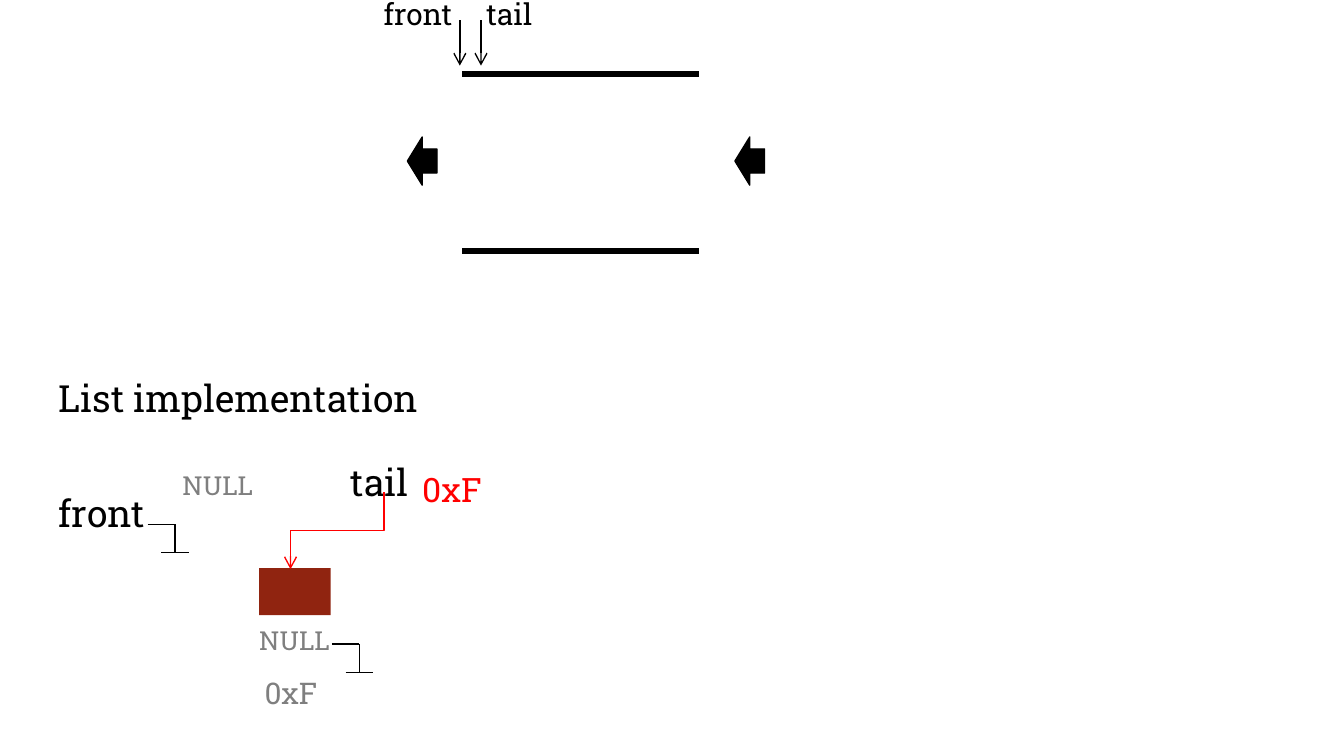
from dataclasses import dataclass

from lxml import etree
from pptx import Presentation
from pptx.dml.color import RGBColor
from pptx.enum import shapes, text
from pptx.oxml import ns
from pptx.util import Cm, Pt


@dataclass(frozen=True)
class Theme:
    font: str = "Roboto Slab"
    ink: RGBColor = RGBColor(0, 0, 0)
    muted: RGBColor = RGBColor(0x7F, 0x7F, 0x7F)
    accent: RGBColor = RGBColor(0xFF, 0, 0)
    node: RGBColor = RGBColor(0x90, 0x24, 0x10)
    heading: int = 20
    address: int = 18
    label: int = 16
    null: int = 14
    thin: float = 0.75
    wall: float = 3


THEME = Theme()


def add_text(slide, content, left, top, width, height, *, size=THEME.heading,
             color=THEME.ink, align=text.PP_ALIGN.LEFT, inset=0.25):
    box = slide.shapes.add_textbox(Cm(left), Cm(top), Cm(width), Cm(height))
    frame = box.text_frame
    frame.word_wrap = True
    frame.margin_left = frame.margin_right = Cm(inset)
    paragraph = frame.paragraphs[0]
    paragraph.alignment = align
    run = paragraph.add_run()
    run.text = content
    run.font.name = THEME.font
    run.font.size = Pt(size)
    run.font.color.rgb = color


def add_line(slide, start, end, *, color=THEME.ink, weight=THEME.thin, arrow=False,
             kind=shapes.MSO_CONNECTOR.STRAIGHT):
    connector = slide.shapes.add_connector(kind, *map(Cm, (*start, *end)))
    connector.line.color.rgb = color
    connector.line.width = Pt(weight)
    properties = connector._element.spPr
    etree.SubElement(properties, ns.qn("a:effectLst"))
    if arrow:
        line = properties.find(ns.qn("a:ln"))
        etree.SubElement(line, ns.qn("a:tailEnd"), type="arrow")
    return connector


def add_elbow_down(slide, start, end, **style):
    """Arrow that goes down, left and down again: an elbow turned by 90 degrees."""
    center_x, center_y = (start[0] + end[0]) / 2, (start[1] + end[1]) / 2
    half_width, half_height = (end[1] - start[1]) / 2, (start[0] - end[0]) / 2
    connector = add_line(slide, (center_x - half_width, center_y - half_height),
                         (center_x + half_width, center_y + half_height),
                         kind=shapes.MSO_CONNECTOR.ELBOW, arrow=True, **style)
    connector._element.spPr.find(ns.qn("a:xfrm")).set("rot", str(90 * 60000))


def add_filled_shape(slide, kind, left, top, width, height, color, outlined=False):
    shape = slide.shapes.add_shape(kind, Cm(left), Cm(top), Cm(width), Cm(height))
    shape.shadow.inherit = False
    shape.fill.solid()
    shape.fill.fore_color.rgb = color
    if outlined:
        shape.line.color.rgb = color
        shape.line.width = Pt(THEME.thin)
    else:
        shape.line.fill.background()


def add_null_symbol(slide, left, top):
    """Wire to the right, then down to a short ground bar."""
    stem, drop = left + 0.52, 0.54
    add_line(slide, (left, top), (stem, top))
    add_line(slide, (stem, top), (stem, top + drop))
    add_line(slide, (stem - 0.26, top + drop), (stem + 0.26, top + drop))


def add_queue(slide, left, top, width, height):
    """Two walls at the box's top and bottom, with pointers and flow arrows."""
    for wall_y in (top, top + height):
        add_line(slide, (left + width, wall_y), (left, wall_y), weight=THEME.wall)
    for name, label_x, arrow_x in (("front", -1.88, -0.05), ("tail", -0.15, 0.35)):
        add_text(slide, name, left + label_x, top - 1.6, 2.08, 1.14,
                 size=THEME.label, align=text.PP_ALIGN.CENTER)
        add_line(slide, (left + arrow_x, top - 1.02), (left + arrow_x, top - 0.16),
                 arrow=True)
    for flow_x in (left - 1.04, left + width + 0.68):
        add_filled_shape(slide, shapes.MSO_SHAPE.LEFT_ARROW, flow_x, top + 1.19,
                         0.56, 0.91, THEME.ink, outlined=True)


def add_list_implementation(slide, left, top, width):
    add_text(slide, "List implementation", left, top, width, 1.22)

    add_text(slide, "front", left, top + 2.18, 2.59, 1.22)
    add_text(slide, "tail", left + 5.52, top + 1.6, 2.59, 1.22)
    values = (
        ("NULL", 2.59, 1.78, THEME.null, THEME.muted),
        ("0xF", 7.12, 1.78, THEME.address, THEME.accent),
        ("NULL", 4.04, 4.72, THEME.null, THEME.muted),
        ("0xF", 4.14, 5.66, THEME.label, THEME.muted),
    )
    for value, x, y, size, color in values:
        add_text(slide, value, left + x, top + y, 1.45, 0.81,
                 size=size, color=color, inset=0)

    add_filled_shape(slide, shapes.MSO_SHAPE.RECTANGLE, left + 4.04, top + 3.78,
                     1.35, 0.89, THEME.node)
    for x, y in ((1.93, 2.95), (5.41, 5.21)):
        add_null_symbol(slide, left + x, top + y)
    add_elbow_down(slide, (left + 6.4, top + 2.34), (left + 4.63, top + 3.8),
                   color=THEME.accent)


def main():
    presentation = Presentation()
    presentation.slide_width = Cm(25.4)
    presentation.slide_height = Cm(14.29)
    slide = presentation.slides.add_slide(presentation.slide_layouts[6])
    add_queue(slide, left=8.74, top=1.4, width=4.47, height=3.35)
    add_list_implementation(slide, left=0.86, top=6.96, width=8.51)
    presentation.save("out.pptx")


if __name__ == "__main__":
    main()
